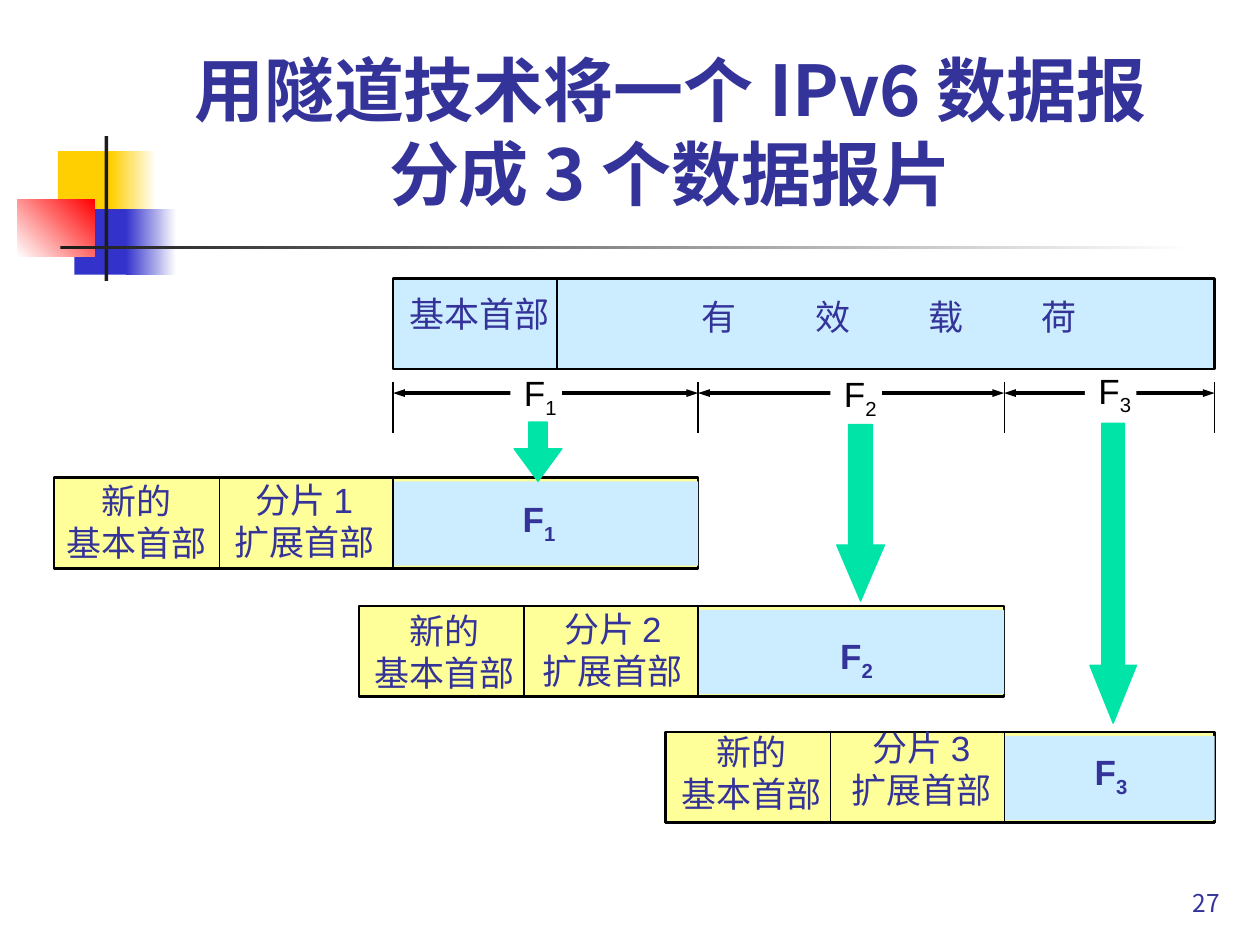
from lxml.etree import SubElement
from pptx import Presentation
from pptx.dml.color import RGBColor
from pptx.enum.shapes import MSO_CONNECTOR, MSO_SHAPE
from pptx.enum.text import MSO_ANCHOR, PP_ALIGN
from pptx.oxml.ns import qn
from pptx.util import Inches, Pt

NAVY = RGBColor(0x33, 0x33, 0x99)
BLACK = RGBColor(0, 0, 0)
WHITE = RGBColor(0xFF, 0xFF, 0xFF)
DARK = RGBColor(0x1C, 0x1C, 0x1C)
GOLD = RGBColor(0xFF, 0xCF, 0x01)
BLUE = RGBColor(0x33, 0x33, 0xCC)
RED = RGBColor(0xFF, 0, 0)
SKY = RGBColor(0xCC, 0xEC, 0xFF)
YELLOW = RGBColor(0xFF, 0xFF, 0x99)
GREEN = RGBColor(0, 0xE4, 0xA8)

LATIN, CJK = "Arial", "Noto Sans CJK JP"
EDGES = [3.12, 5.54, 7.97, 9.64]  # boundaries of the three fragments
BAR_H = 0.72
HEADER_W = 1.31
HEADERS_W = 2.69  # new basic header plus extension header

# Measure label, bar top, basic header, extension header, bar label
FRAGMENTS = [
    ((4.05, 2.98), 3.79, (0.43, 3.76), (1.76, 3.75), (4.05, 3.9)),
    ((6.59, 2.99), 4.81, (2.87, 4.79), (4.21, 4.77), (6.57, 4.99)),
    ((8.61, 2.96), 5.81, (5.31, 5.75), (6.66, 5.72), (8.59, 5.91)),
]
# Left, top, width, height, shaft ratio, head ratio
ARROWS = [
    (4.08, 3.35, 0.38, 0.47, 0.39, 0.68),
    (6.64, 3.37, 0.38, 1.4, 0.5, 1.17),
    (8.65, 3.36, 0.37, 2.38, 0.49, 1.24),
]


def add_box(s, x, y, w, h, fill, line=None, width=0.75, kind=MSO_SHAPE.RECTANGLE):
    sp = s.shapes.add_shape(kind, Inches(x), Inches(y), Inches(w), Inches(h))
    sp.shadow.inherit = False
    sp.fill.solid()
    sp.fill.fore_color.rgb = fill
    if line is None:
        sp.line.fill.background()
    else:
        sp.line.color.rgb = line
        sp.line.width = Pt(width)
    return sp


def add_fade(s, x, y, w, h, start, end, angle=0):
    sp = add_box(s, x, y, w, h, start)
    sp.fill.gradient()
    sp.fill.gradient_angle = angle
    for stop, color, position in zip(sp.fill.gradient_stops, (start, end), (0, 1)):
        stop.color.rgb = color
        stop.position = position


def add_line(s, x1, y1, x2, y2, width=0.75, arrows=False):
    cx = s.shapes.add_connector(MSO_CONNECTOR.STRAIGHT, Inches(x1), Inches(y1),
                                Inches(x2), Inches(y2))
    cx.line.color.rgb = BLACK
    cx.line.width = Pt(width)
    if arrows:
        ln = cx.line._get_or_add_ln()
        for tag in ("a:headEnd", "a:tailEnd"):
            SubElement(ln, qn(tag), type="triangle", w="sm", len="med")
    SubElement(cx._element.spPr, qn("a:effectLst"))


def add_run(p, text, size=20, color=NAVY, font=LATIN, bold=False):
    r = p.add_run()
    r.text = text
    r.font.size = Pt(size)
    r.font.name = font
    r.font.bold = bold
    r.font.color.rgb = color
    SubElement(r._r.get_or_add_rPr(), qn("a:ea"), typeface=CJK)
    return r


def add_text(s, x, y, w, h, lines, size=20, align=PP_ALIGN.CENTER,
             anchor=MSO_ANCHOR.TOP, wrap=False, **style):
    tf = s.shapes.add_textbox(Inches(x), Inches(y), Inches(w), Inches(h)).text_frame
    tf.word_wrap = wrap
    tf.vertical_anchor = anchor
    for i, line in enumerate(lines):
        p = tf.paragraphs[0] if i == 0 else tf.add_paragraph()
        p.alignment = align
        p.line_spacing = Pt(size * 1.2)
        add_run(p, line, size, **style)
    return tf


def add_fragment_label(s, x, y, number, color, bold=False):
    tf = s.shapes.add_textbox(Inches(x), Inches(y), Inches(0.46), Inches(0.48)).text_frame
    tf.word_wrap = False
    p = tf.paragraphs[0]
    add_run(p, "F", color=color, bold=bold)
    r = add_run(p, str(number), color=color, bold=bold)
    r.font._element.set("baseline", "-25000")


def add_decoration(s):
    add_box(s, 0.46, 1.2, 0.48, 0.52, GOLD)
    add_fade(s, 0.88, 1.2, 0.36, 0.52, GOLD, WHITE)
    add_box(s, 0.59, 1.66, 0.46, 0.52, BLUE)
    add_fade(s, 1, 1.66, 0.4, 0.52, BLUE, WHITE)
    add_fade(s, 0.14, 1.58, 0.61, 0.46, WHITE, RED, 45)
    add_box(s, 0.83, 1.08, 0.03, 1.15, DARK)
    add_fade(s, 0.48, 1.95, 9, 0.03, DARK, WHITE)


def add_datagram(s):
    add_box(s, EDGES[0], 2.21, EDGES[-1] - EDGES[0], BAR_H, SKY, BLACK, 1.5)
    add_line(s, 4.42, 2.21, 4.42, 2.21 + BAR_H)
    add_text(s, 3.15, 2.27, HEADER_W, 0.44, ["基本首部"])
    tf = add_text(s, 5.47, 2.3, 3.18, 0.44, ["有\t效\t载\t荷"], align=PP_ALIGN.LEFT, wrap=True)
    tabs = SubElement(tf.paragraphs[0]._p.get_or_add_pPr(), qn("a:tabLst"))
    for i in range(1, 4):
        SubElement(tabs, qn("a:tab"), pos=str(Inches(0.9 * i)), algn="l")


def add_measures(s):
    for x in EDGES:
        add_line(s, x, 3.03, x, 3.44)
    for start, end in zip(EDGES, EDGES[1:]):
        add_line(s, start, 3.12, end, 3.12, 2.25, arrows=True)
    for number, ((x, y), *_) in enumerate(FRAGMENTS, 1):
        add_box(s, x, y, 0.41, 0.4, WHITE)
        add_fragment_label(s, x + 0.01, y - 0.08, number, BLACK)


def add_fragment(s, number, top, basic, extension, label):
    start, end = EDGES[number - 1:number + 1]
    left = start - HEADERS_W
    add_box(s, left, top, end - left, BAR_H, YELLOW, BLACK, 1.5)
    add_box(s, start, top + 0.03, end - start, BAR_H - 0.05, SKY)
    for x in (left + HEADER_W, start):
        add_line(s, x, top, x, top + BAR_H)
    add_text(s, *basic, HEADER_W, 0.77, ["新的", "基本首部"])
    add_text(s, *extension, HEADER_W, 0.77, [f"分片 {number}", "扩展首部"])
    add_fragment_label(s, *label, number, NAVY, bold=True)


def add_arrow(s, x, y, w, h, shaft, head):
    sp = add_box(s, x, y, w, h, GREEN, GREEN, kind=MSO_SHAPE.DOWN_ARROW)
    sp.adjustments[0] = shaft
    sp.adjustments[1] = head


def main():
    prs = Presentation()
    prs.slide_width, prs.slide_height = Inches(10), Inches(7.5)
    s = prs.slides.add_slide(prs.slide_layouts[6])

    # Ornament, title and page number
    add_decoration(s)
    add_text(s, 1.06, 0.32, 8.52, 1.43, ["用隧道技术将一个 IPv6 数据报", "分成 3 个数据报片"],
             40, anchor=MSO_ANCHOR.BOTTOM, wrap=True, font=CJK, bold=True)
    add_text(s, 7.7, 6.83, 2.08, 0.5, ["27"], 14, PP_ALIGN.RIGHT,
             MSO_ANCHOR.BOTTOM, wrap=True, font=CJK)

    # Whole datagram and its division
    add_datagram(s)
    add_measures(s)

    # Fragments with the arrows leading to them
    for number, (_, *places) in enumerate(FRAGMENTS, 1):
        add_fragment(s, number, *places)
    for arrow in ARROWS:
        add_arrow(s, *arrow)

    prs.save("out.pptx")


if __name__ == "__main__":
    main()
